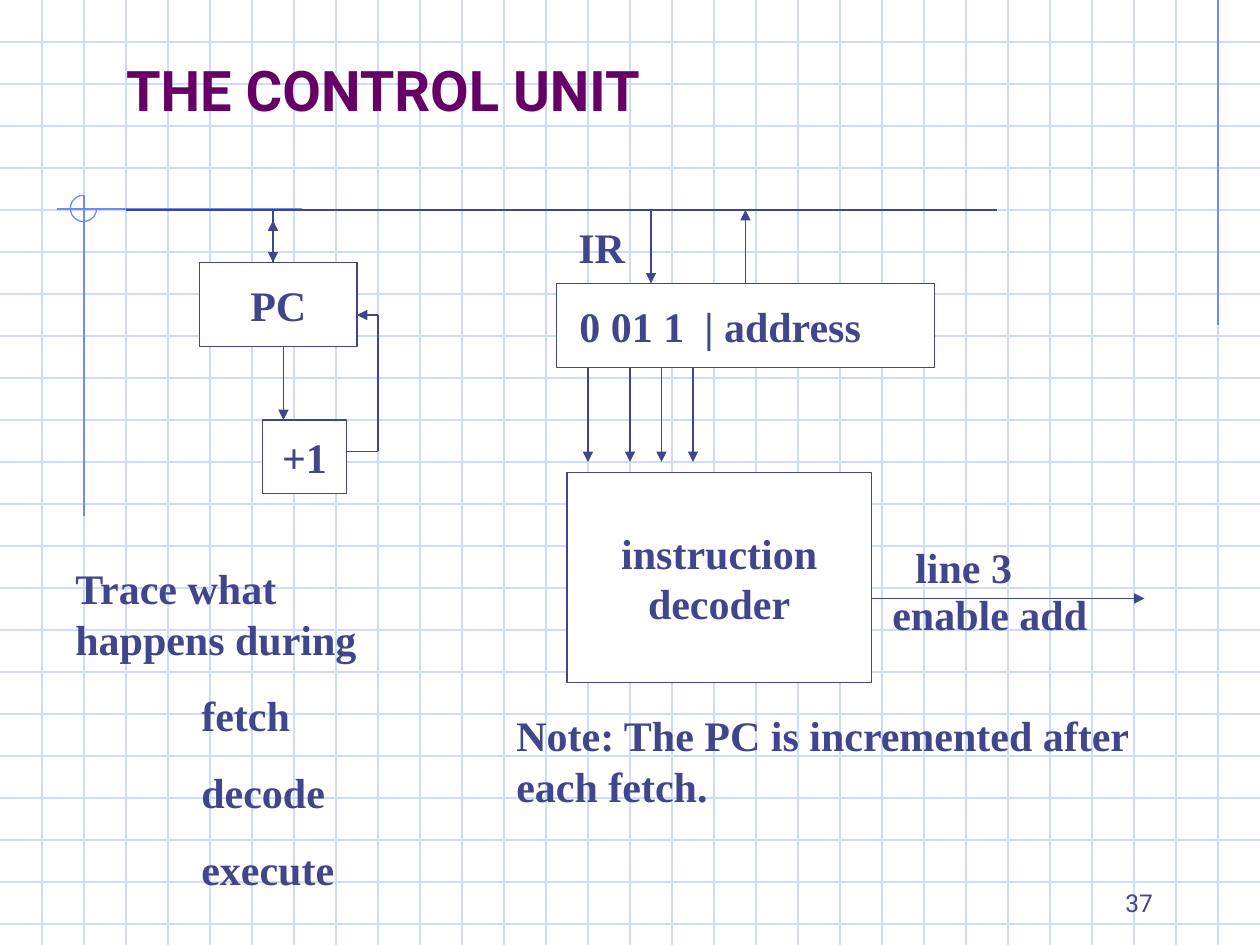
import pptx
import pptx.dml.color
import pptx.enum.shapes
import pptx.enum.text
import pptx.oxml.ns
import pptx.util
from lxml import etree
from pptx.util import Cm

SHAPE = pptx.enum.shapes.MSO_SHAPE
ALIGN = pptx.enum.text.PP_ALIGN
ANCHOR = pptx.enum.text.MSO_ANCHOR
WIDTH, HEIGHT = 120, 90
INK, PURPLE, PALE, BLUE, WHITE = "40458C", "660066", "CFDBFD", "6F89F7", "FFFFFF"


def color(value):
    """Turn a hex string into a colour."""
    return pptx.dml.color.RGBColor.from_string(value)


def cells(count):
    """Turn a count of layout cells, 120 to the slide width, into a length."""
    return Cm(25.4 / WIDTH * count)


class Diagram:
    """Holds the style and the current slide; places elements in cells."""

    def __init__(self, slide, font="Times New Roman", size=24):
        self.slide, self.font, self.size = slide, font, size
        self.canvas = slide.shapes

    def style(self, paragraph, ink=INK, font=None, size=None, bold=True):
        """Format the font of one paragraph."""
        paragraph.font.name = font or self.font
        paragraph.font.size = pptx.util.Pt(size or self.size)
        paragraph.font.bold = bold
        paragraph.font.color.rgb = color(ink)

    def outline(self, line, ink):
        """Give a line the common width and a colour."""
        line.color.rgb = color(ink)
        line.width = pptx.util.Pt(0.75)

    def line(self, start, end, ink=INK, arrow=False):
        """Draw a straight line, with an arrowhead at its end if asked."""
        connector = self.canvas.add_connector(
            pptx.enum.shapes.MSO_CONNECTOR.STRAIGHT, *map(cells, (*start, *end)))
        self.outline(connector.line, ink)
        if arrow:
            stroke = connector._element.spPr.find(pptx.oxml.ns.qn("a:ln"))
            etree.SubElement(stroke, pptx.oxml.ns.qn("a:tailEnd"), type="triangle")
        etree.SubElement(connector._element.spPr, pptx.oxml.ns.qn("a:effectLst"))
        return connector

    def arrow(self, start, end):
        """Draw an arrow."""
        return self.line(start, end, arrow=True)

    def set_text(self, frame, lines, align=ALIGN.LEFT, anchor=ANCHOR.TOP, **font):
        """Fill a text frame with equally styled lines."""
        frame.word_wrap = True
        frame.vertical_anchor = anchor
        frame.text = "\n".join(lines)
        for paragraph in frame.paragraphs:
            paragraph.alignment = align
            self.style(paragraph, **font)
        return frame

    def box(self, place, *lines, align=ALIGN.CENTER):
        """Draw a register or unit with its name inside."""
        shape = self.canvas.add_shape(SHAPE.RECTANGLE, *map(cells, place))
        shape.shadow.inherit = False
        shape.fill.solid()
        shape.fill.fore_color.rgb = color(WHITE)
        self.outline(shape.line, INK)
        self.set_text(shape.text_frame, lines, align, ANCHOR.MIDDLE)
        return shape

    def text(self, place, *lines, **options):
        """Place a text box."""
        return self.set_text(self.canvas.add_textbox(*map(cells, place)).text_frame, lines, **options)

    def title(self, place, words):
        """Place and format the title above the background."""
        title = self.slide.shapes.title
        title.left, title.top, title.width, title.height = map(cells, place)
        self.set_text(title.text_frame, [words], anchor=ANCHOR.BOTTOM, ink=PURPLE, font="Roboto", size=32)
        self.slide.shapes._spTree.append(title._element)

    def background(self):
        """Draw the squared paper and its blue marks as one group."""
        self.canvas = self.slide.shapes.add_group_shape().shapes
        for y in range(4, HEIGHT, 4):
            self.line((0, y), (WIDTH, y), PALE)
        for x in range(4, WIDTH, 4):
            self.line((x, 0), (x, HEIGHT), PALE)
        self.line((116, 0), (116, 31), BLUE)
        self.line((28.8, 19.9), (5.4, 19.9), BLUE)
        self.line((8, 18.6), (8, 49.1), BLUE)
        corner = self.canvas.add_shape(SHAPE.ARC, *map(cells, (6.7, 18.6, 2.5, 2.5)))
        corner.shadow.inherit = False
        corner.adjustments[0], corner.adjustments[1] = 0, 162
        corner.fill.background()
        self.outline(corner.line, BLUE)
        self.canvas = self.slide.shapes


def main():
    """Build the control unit slide."""
    deck = pptx.Presentation()
    deck.slide_width, deck.slide_height = cells(WIDTH), cells(HEIGHT)
    diagram = Diagram(deck.slides.add_slide(deck.slide_layouts[5]))
    diagram.background()
    diagram.title((10.8, 4.3, 96.4, 8), "THE CONTROL UNIT")

    diagram.line((12, 20), (95, 20))
    diagram.box((19, 25, 15, 8), "PC")
    diagram.box((25, 40, 8, 7), "+1")
    diagram.arrow((27, 33), (27, 40))
    diagram.line((33, 43), (36, 43))
    diagram.line((36, 43), (36, 30))
    diagram.arrow((36, 30), (34, 30))
    diagram.line((26, 20), (26, 25))
    diagram.arrow((26, 21), (26, 25))
    diagram.arrow((26, 24), (26, 21))

    register = diagram.box((53, 27, 36, 8), "0 01 1\t| address", align=ALIGN.LEFT)
    register.text_frame.margin_left = Cm(0.46)
    properties = register.text_frame.paragraphs[0]._p.get_or_add_pPr()
    stops = etree.Element(pptx.oxml.ns.qn("a:tabLst"))
    properties.insert(0, stops)
    etree.SubElement(stops, pptx.oxml.ns.qn("a:tab"), pos=str(Cm(2.52)), algn="l")
    diagram.text((53.9, 20.5, 7.5, 6), "IR")
    diagram.arrow((62, 20), (62, 27))
    diagram.arrow((71, 27), (71, 20)).begin_connect(register, 0)

    diagram.box((54, 45, 29, 20), "instruction", "decoder")
    for bit in (56, 60, 63, 66):
        diagram.arrow((bit, 35), (bit, 44))
    diagram.arrow((83, 57), (109, 57))
    diagram.text((83.8, 55.5, 22, 6), "enable add")
    diagram.text((86, 51, 18, 6), "line 3")

    trace = diagram.text((6, 53, 36, 32.8), "Trace what happens during", "fetch", "decode", "execute")
    for phase in trace.paragraphs[1:]:
        phase.space_before = pptx.util.Pt(15)
        phase._p.get_or_add_pPr().set("marL", str(Cm(2.54)))
    diagram.text((48, 67, 67, 10.8), "Note: The PC is incremented after each fetch.")
    diagram.text((86, 82, 25, 6), "37", align=ALIGN.RIGHT, anchor=ANCHOR.BOTTOM,
                 font="Roboto", size=14, bold=False)
    deck.save("out.pptx")


if __name__ == "__main__":
    main()
